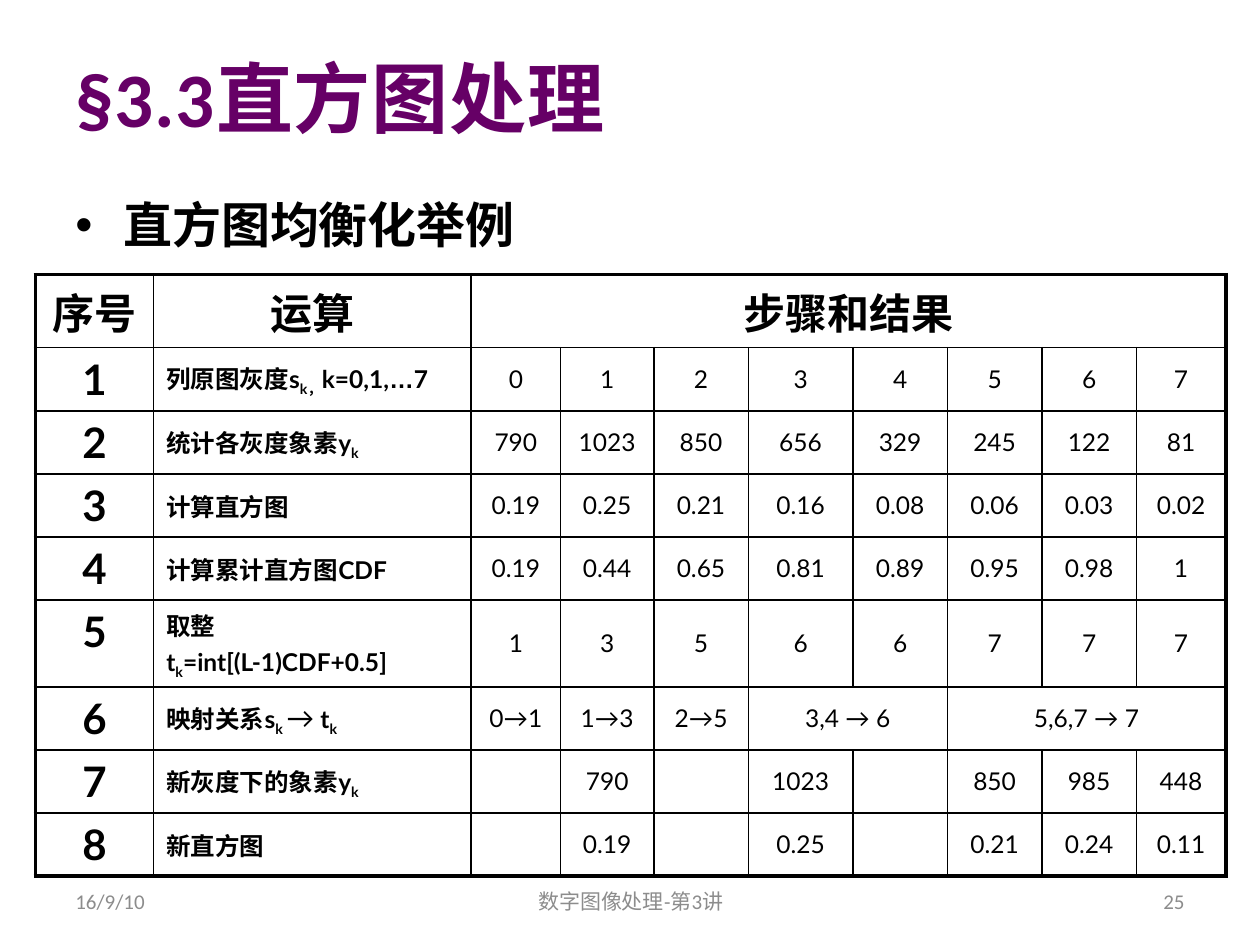
"""Build a slide with a worked example of histogram equalisation."""
from lxml import etree
from pptx import Presentation
from pptx import util as u
from pptx.dml.color import RGBColor
from pptx.enum import text
from pptx.oxml.ns import qn

COLORS = {"title": "660066", "ink": "000000", "footer": "8C8C8C"}
CENTER, RIGHT = text.PP_ALIGN.CENTER, text.PP_ALIGN.RIGHT
MIDDLE, TOP = text.MSO_ANCHOR.MIDDLE, text.MSO_ANCHOR.TOP
SUB = {"baseline": -25000}

TITLE = "§3.3直方图处理"
TOPIC = "直方图均衡化举例"
FOOTERS = [
    ("16/9/10", 0.5, 2.33, None),
    ("数字图像处理-第3讲", 3.42, 3.17, CENTER),
    ("25", 7.17, 2.33, RIGHT),
]

HEADINGS = ["序号", "运算", "步骤和结果"]
STEPS = [
    ([[("列原图灰度s", {}), ("k，", SUB), ("k=0,1,", {}), ("…", {"font": "Arial"}), ("7", {})]],
     ["0", "1", "2", "3", "4", "5", "6", "7"]),
    ([[("统计各灰度象素y", {}), ("k", SUB)]],
     ["790", "1023", "850", "656", "329", "245", "122", "81"]),
    ([[("计算直方图", {})]],
     ["0.19", "0.25", "0.21", "0.16", "0.08", "0.06", "0.03", "0.02"]),
    ([[("计算累计直方图CDF", {})]],
     ["0.19", "0.44", "0.65", "0.81", "0.89", "0.95", "0.98", "1"]),
    ([[("取整", {})], [("t", {}), ("k", SUB), ("=int[(L-1)CDF+0.5]", {})]],
     ["1", "3", "5", "6", "6", "7", "7", "7"]),
    ([[("映射关系s", {}), ("k ", SUB), ("→", {"size": 16, "bold": False}), (" t", {}), ("k", SUB)]],
     ["0→1", "1→3", "2→5", "3,4 → 6", None, "5,6,7 → 7", None, None]),
    ([[("新灰度下的象素y", {}), ("k", SUB)]],
     ["", "790", "", "1023", "", "850", "985", "448"]),
    ([[("新直方图", {})]],
     ["", "0.19", "", "0.25", "", "0.21", "0.24", "0.11"]),
]
MERGES = [(0, 2, 9), (6, 5, 6), (6, 7, 9)]
COLUMN_WIDTHS = [0.94, 2.52, 0.71, 0.74, 0.75, 0.83, 0.75, 0.75, 0.75, 0.71]
ROW_HEIGHTS = [0.58, 0.5, 0.5, 0.5, 0.5, 0.69, 0.5, 0.5, 0.5]
THICK, THIN = 2.25, 1


def write(frame, content, size=14, font="Lato", color="ink", bold=False, align=None,
          spacing=None, gap=0, bullet=False, tracking=None):
    """Fill a text frame with a string or with paragraphs of (text, format) runs."""
    paragraphs = [[(content, {})]] if isinstance(content, str) else content
    for index, runs in enumerate(paragraphs):
        paragraph = frame.add_paragraph() if index else frame.paragraphs[0]
        if bullet:
            props = paragraph._p.get_or_add_pPr()
            props.set("marL", str(u.Inches(0.38)))
            props.set("indent", str(u.Inches(-0.38)))
            etree.SubElement(props, qn("a:buFont"), typeface="Arial")
            etree.SubElement(props, qn("a:buChar"), char="•")
        paragraph.alignment = align
        if spacing:
            paragraph.line_spacing = spacing
        if index:
            paragraph.space_before = u.Pt(gap)
        for words, special in runs:
            run = paragraph.add_run()
            run.text = words
            run.font.size = u.Pt(special.get("size", size))
            run.font.name = special.get("font", font)
            run.font.bold = special.get("bold", bold)
            run.font.color.rgb = RGBColor.from_string(COLORS[color])
            if "baseline" in special:
                run.font._element.set("baseline", str(special["baseline"]))
            if tracking:
                run.font._element.set("spc", str(tracking))


def add_text(slide, content, left, top, width, height, anchor=TOP, **style):
    frame = slide.shapes.add_textbox(*map(u.Inches, (left, top, width, height))).text_frame
    frame.word_wrap = True
    frame.vertical_anchor = anchor
    write(frame, content, **style)


def frame_cell(cell, row, column):
    """Draw thick lines on the table's edge and thin lines inside it."""
    outer = {
        "L": column == 0,
        "R": column + cell.span_width == len(COLUMN_WIDTHS),
        "T": row == 0,
        "B": row == len(ROW_HEIGHTS) - 1,
    }
    props = cell._tc.get_or_add_tcPr()
    for side, is_edge in outer.items():
        line = etree.SubElement(props, qn(f"a:ln{side}"), w=str(u.Pt(THICK if is_edge else THIN)))
        fill = etree.SubElement(line, qn("a:solidFill"))
        etree.SubElement(fill, qn("a:srgbClr"), val=COLORS["ink"])
    cell.fill.background()


def add_steps(slide):
    table = slide.shapes.add_table(
        len(ROW_HEIGHTS), len(COLUMN_WIDTHS), u.Inches(0.28), u.Inches(2.18),
        u.Inches(sum(COLUMN_WIDTHS)), u.Inches(sum(ROW_HEIGHTS))).table
    table.first_row = table.horz_banding = False
    for column, width in zip(table.columns, COLUMN_WIDTHS):
        column.width = u.Inches(width)
    for row, height in zip(table.rows, ROW_HEIGHTS):
        row.height = u.Inches(height)
    for row, first, last in MERGES:
        table.cell(row, first).merge(table.cell(row, last))
    for row in range(len(ROW_HEIGHTS)):
        for column in range(len(COLUMN_WIDTHS)):
            frame_cell(table.cell(row, column), row, column)

    def put(row, column, content, anchor=MIDDLE, **style):
        cell = table.cell(row, column)
        cell.vertical_anchor = anchor
        write(cell.text_frame, content, **style)

    for column, heading in enumerate(HEADINGS):
        put(0, column, heading, TOP if column else MIDDLE, size=24, bold=True, align=CENTER)
    for row, (operation, results) in enumerate(STEPS, start=1):
        put(row, 0, str(row), TOP, size=24, bold=True, align=CENTER)
        put(row, 1, operation, bold=True, gap=2.8)
        for column, result in enumerate(results, start=2):
            if result:
                put(row, column, result, align=CENTER)


def main():
    deck = Presentation()
    deck.slide_width, deck.slide_height = u.Inches(10), u.Inches(7.5)
    slide = deck.slides.add_slide(deck.slide_layouts[6])
    add_text(slide, TITLE, 0.5, 0.3, 9, 0.93, MIDDLE, size=44, font="Calibri",
             color="title", bold=True, tracking=50)
    add_text(slide, TOPIC, 0.5, 1.31, 9, 5.91, size=28, font="Calibri",
             bold=True, spacing=1.4, bullet=True)
    for words, left, width, align in FOOTERS:
        add_text(slide, words, left, 6.95, width, 0.4, MIDDLE, size=12, font="Calibri",
                 color="footer", align=align)
    add_steps(slide)
    deck.save("out.pptx")


if __name__ == "__main__":
    main()
